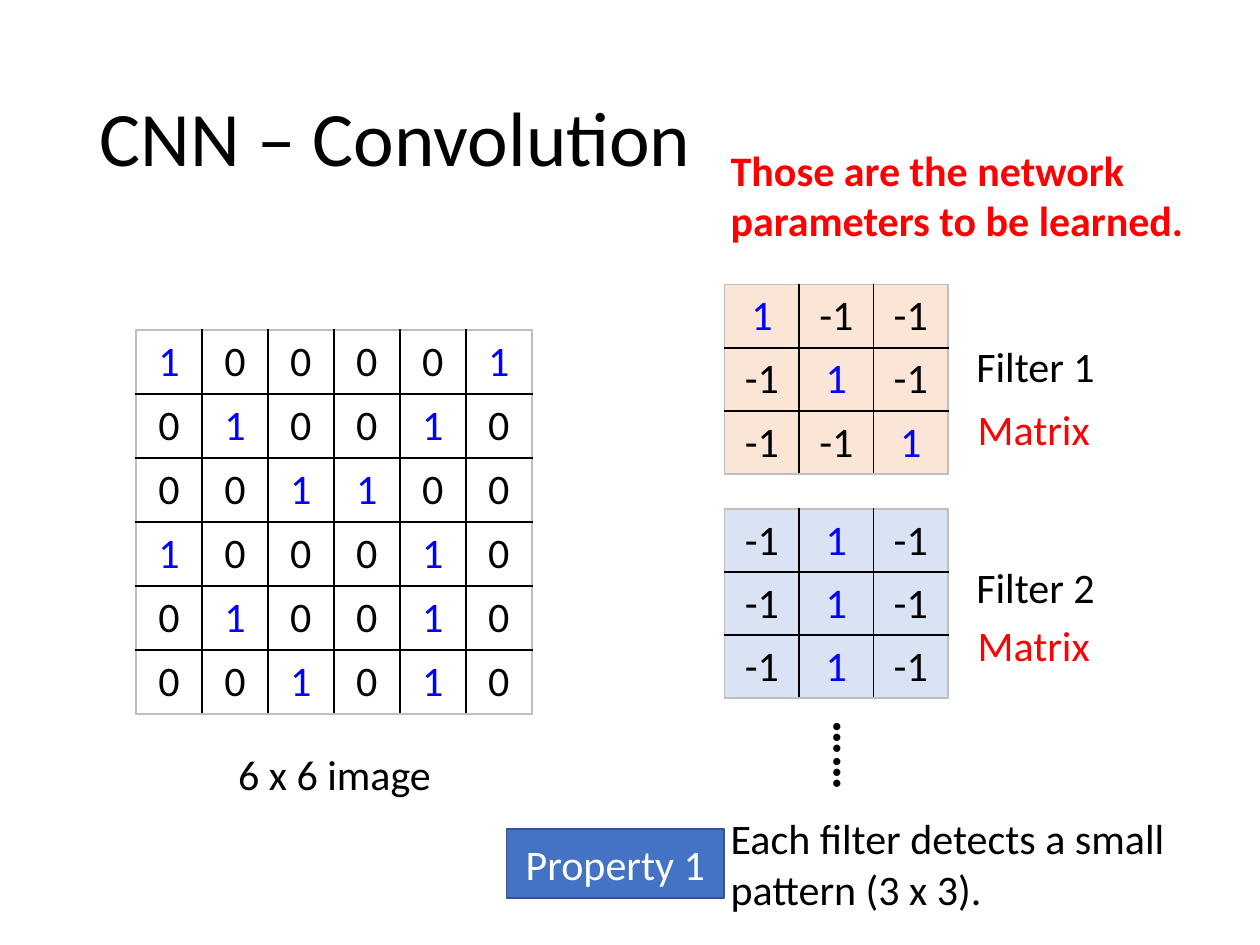
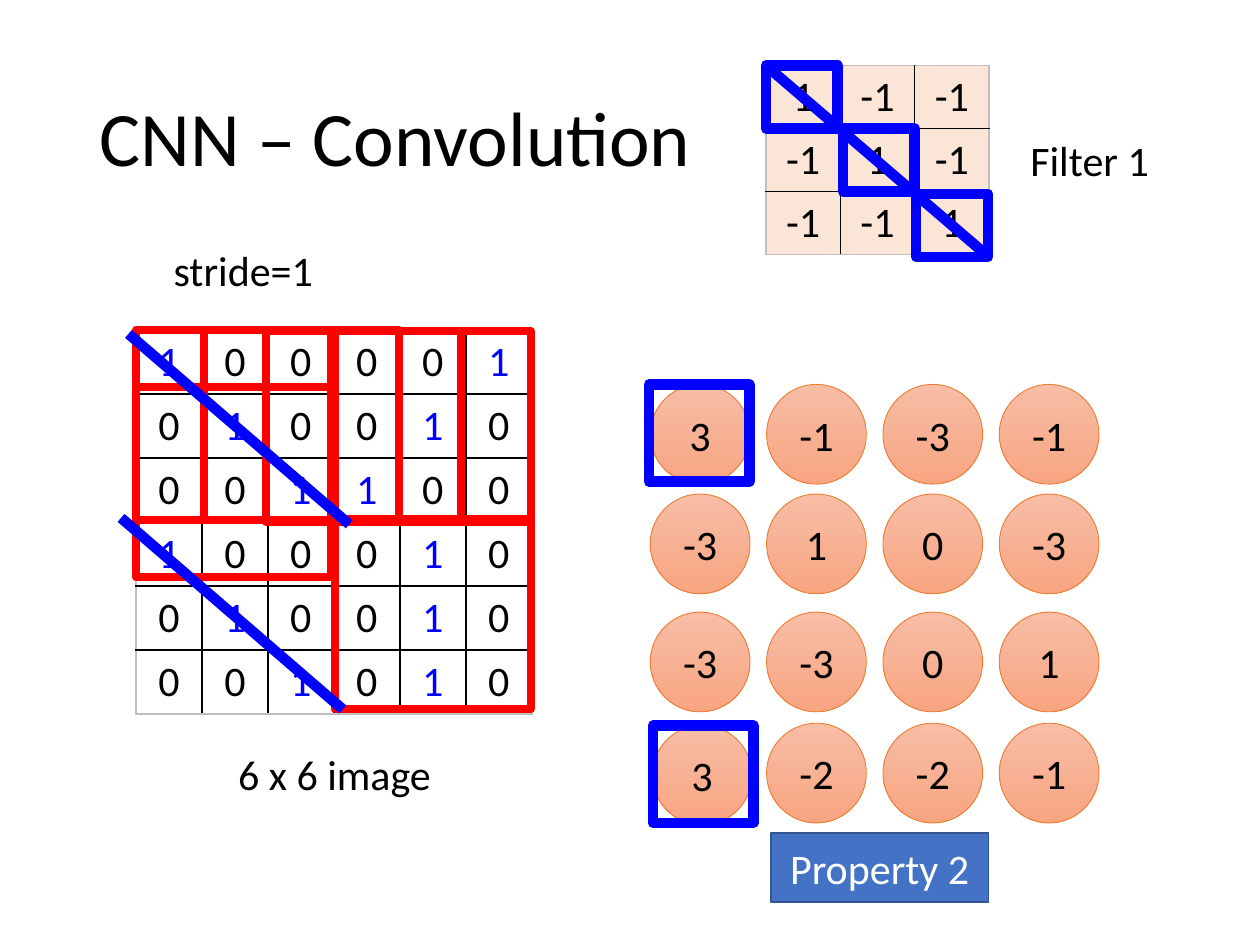
from dataclasses import dataclass

from lxml.etree import SubElement
from pptx import Presentation
from pptx.dml.color import RGBColor
from pptx.enum.shapes import MSO_CONNECTOR as Link, MSO_SHAPE as Form
from pptx.enum.text import MSO_ANCHOR as Anchor, PP_ALIGN as Align
from pptx.oxml.ns import qn
from pptx.util import Cm, Pt

FONT = "Calibri"
BLACK, WHITE, GREY = "000000", "FFFFFF", "BFBFBF"
RED, BLUE = "FF0000", "0000FF"
PEACH, PALE = "FBE5D6", "DAE3F3"
BAR, EDGE = "4472C4", "325491"
RIM, LIGHT, DARK = "ED7D31", "F7BDA5", "F8A582"

IMAGE = ("1 0 0 0 0 1", "0 1 0 0 1 0", "0 0 1 1 0 0",
         "1 0 0 0 1 0", "0 1 0 0 1 0", "0 0 1 0 1 0")
SLANT = ("1 -1 -1", "-1 1 -1", "-1 -1 1")
STRIPE = ("-1 1 -1",) * 3
OUTPUT = ("3 -1 -3 -1", "-3 1 0 -3", "-3 -3 0 1", "3 -2 -2 -1")


@dataclass
class Box:
    """A place on the slide, in centimetres."""
    x: float
    y: float
    w: float
    h: float

    def cm(self) -> tuple:
        """Give the four lengths for python-pptx."""
        return Cm(self.x), Cm(self.y), Cm(self.w), Cm(self.h)


@dataclass
class Note:
    """A free line of text."""
    text: str
    box: Box
    color: str = BLACK
    align: Align = Align.LEFT
    bold: bool = False
    size: float = 24
    turn: float = 0
    wrap: bool = True


@dataclass
class Grid:
    """A matrix drawn as a table."""
    rows: tuple
    x: float
    y: float
    col: float
    row: float
    fill: str = ""
    mark: str = BLUE


def rgb(code: str) -> RGBColor:
    """Turn a hex string into a colour."""
    return RGBColor.from_string(code)


def write(frame, text: str, color: str, align=Align.CENTER,
          size: float = 24, bold: bool = False) -> None:
    """Put one styled run in the first paragraph."""
    para = frame.paragraphs[0]
    para.alignment = align
    run = para.add_run()
    run.text = text
    font = run.font
    font.name, font.size, font.bold = FONT, Pt(size), bold
    font.color.rgb = rgb(color)


def add_title(deck, text: str):
    """Start a slide with its title."""
    slide = deck.slides.add_slide(deck.slide_layouts[5])
    title = slide.shapes.title
    title.left, title.top, title.width, title.height = Box(
        1.75, 1.02, 21.89, 3.68).cm()
    frame = title.text_frame
    frame.vertical_anchor = Anchor.MIDDLE
    write(frame, text, BLACK, Align.LEFT, 44)
    frame.paragraphs[0].line_spacing = 0.9
    return slide


def add_note(slide, note: Note) -> None:
    """Draw a text box."""
    shape = slide.shapes.add_textbox(*note.box.cm())
    shape.rotation = note.turn
    shape.text_frame.word_wrap = note.wrap
    write(shape.text_frame, note.text, note.color, note.align,
          note.size, note.bold)


def add_edge(cell, side: str, color: str) -> None:
    """Draw one border of a cell."""
    line = SubElement(cell._tc.get_or_add_tcPr(), qn(f"a:ln{side}"),
                      w=str(Pt(1)))
    fill = SubElement(line, qn("a:solidFill"))
    SubElement(fill, qn("a:srgbClr"), val=color)


def add_grid(slide, grid: Grid) -> None:
    """Draw a matrix: black inner lines, grey frame, ones in mark colour."""
    data = [row.split() for row in grid.rows]
    count, wide = len(data), len(data[0])
    place = Box(grid.x, grid.y, wide * grid.col, count * grid.row)
    table = slide.shapes.add_table(count, wide, *place.cm()).table
    table.first_row = table.horz_banding = False
    for col in table.columns:
        col.width = Cm(grid.col)
    for i, row in enumerate(data):
        table.rows[i].height = Cm(grid.row)
        for j, text in enumerate(row):
            cell = table.cell(i, j)
            outer = {"L": j == 0, "R": j == wide - 1,
                     "T": i == 0, "B": i == count - 1}
            for side, rim in outer.items():
                add_edge(cell, side, GREY if rim else BLACK)
            if grid.fill:
                cell.fill.solid()
                cell.fill.fore_color.rgb = rgb(grid.fill)
            else:
                cell.fill.background()
            write(cell.text_frame, text, grid.mark if text == "1" else BLACK)


def add_form(slide, form: Form, box: Box, color: str, width: float):
    """Draw an unfilled shape with a plain outline."""
    shape = slide.shapes.add_shape(form, *box.cm())
    shape.shadow.inherit = False
    shape.fill.background()
    shape.line.color.rgb = rgb(color)
    shape.line.width = Pt(width)
    return shape


def add_bar(slide, text: str, x: float, y: float) -> None:
    """Draw a blue property label."""
    shape = add_form(slide, Form.RECTANGLE, Box(x, y, 4.39, 1.4), EDGE, 1)
    shape.fill.solid()
    shape.fill.fore_color.rgb = rgb(BAR)
    shape.text_frame.vertical_anchor = Anchor.MIDDLE
    write(shape.text_frame, text, WHITE)


def add_dot(slide, text: str, x: float, y: float) -> None:
    """Draw one output value in a shaded circle."""
    shape = add_form(slide, Form.OVAL, Box(x, y, 2.01, 2.01), RIM, 0.5)
    shape.fill.gradient()
    shape.fill.gradient_angle = 270
    for stop, color in zip(shape.fill.gradient_stops, (LIGHT, DARK)):
        stop.color.rgb = rgb(color)
    shape.text_frame.vertical_anchor = Anchor.MIDDLE
    write(shape.text_frame, text, BLACK)


def add_frames(slide, spots: list, w: float, h: float,
               color: str, width: float) -> None:
    """Draw equal frames at the given corners."""
    for x, y in spots:
        add_form(slide, Form.RECTANGLE, Box(x, y, w, h), color, width)


def add_line(slide, x: float, y: float, to_x: float, to_y: float) -> None:
    """Draw a thick blue diagonal."""
    line = slide.shapes.add_connector(
        Link.STRAIGHT, Cm(x), Cm(y), Cm(to_x), Cm(to_y))
    line.line.color.rgb = rgb(BLUE)
    line.line.width = Pt(6)
    SubElement(line._element.spPr, qn("a:effectLst"))


def add_base(deck):
    """Start a slide with the title, the input image and its caption."""
    slide = add_title(deck, "CNN – Convolution")
    add_grid(slide, Grid(IMAGE, 2.74, 6.65, 1.33, 1.29))
    add_note(slide, Note("6 x 6 image", Box(3.48, 14.96, 6.53, 1.27),
                         align=Align.CENTER))
    return slide


def add_label(slide, text: str, x: float, y: float) -> None:
    """Name a filter."""
    add_note(slide, Note(text, Box(x, y, 4.01, 1.27), align=Align.CENTER))


def show_filters(deck) -> None:
    """Build the slide on filters as learned parameters."""
    slide = add_base(deck)
    add_grid(slide, Grid(SLANT, 14.61, 5.74, 1.5, 1.27, PEACH))
    add_grid(slide, Grid(STRIPE, 14.61, 10.26, 1.5, 1.27, PALE))
    add_label(slide, "Filter 1", 18.87, 6.73)
    add_label(slide, "Filter 2", 18.87, 11.2)
    for y in (8, 12.37):
        add_note(slide, Note("Matrix", Box(19.46, y, 2.84, 1.27), RED))
    add_note(slide, Note("……", Box(16.21, 14.53, 1.96, 1.45),
                         bold=True, size=28, turn=90))
    add_note(slide, Note("Those are the network parameters to be learned.",
                         Box(14.48, 2.79, 9.88, 2.31), RED, bold=True))
    add_note(slide, Note("Each filter detects a small pattern (3 x 3).",
                         Box(14.48, 16.26, 9.88, 2.31)))
    add_bar(slide, "Property 1", 10.21, 16.71)


def show_stride(deck) -> None:
    """Build the slide that moves one filter over the image."""
    slide = add_base(deck)
    add_grid(slide, Grid(SLANT, 15.44, 1.32, 1.5, 1.27, PEACH, BLACK))
    add_label(slide, "Filter 1", 19.96, 2.59)
    add_note(slide, Note("stride=1", Box(3.25, 4.8, 3.35, 1.27), wrap=False))
    for i, (row, y) in enumerate(zip(OUTPUT, (7.75, 9.96, 12.34, 14.58))):
        for j, text in enumerate(row.split()):
            nudge = 0.04 if (i, j) == (3, 0) else 0
            add_dot(slide, text, 13.11 + 2.345 * j + nudge, y + nudge)
    windows = [(2.74, 6.65), (4.11, 6.65), (5.36, 6.68),
               (6.76, 6.68), (2.74, 7.8), (6.76, 10.46)]
    add_frames(slide, windows, 3.94, 3.84, RED, 4.5)
    ones = [(15.44, 1.32), (16.99, 2.59), (18.47, 3.91)]
    add_frames(slide, ones, 1.45, 1.27, BLUE, 6)
    peaks = [(13.08, 7.75), (13.16, 14.63)]
    add_frames(slide, peaks, 2.03, 1.96, BLUE, 6)
    add_bar(slide, "Property 2", 15.54, 16.79)
    add_line(slide, 15.44, 1.32, 19.91, 5.16)
    add_line(slide, 2.59, 6.73, 7.04, 10.57)
    add_line(slide, 2.44, 10.44, 6.91, 14.3)


def main() -> None:
    """Build and save the deck."""
    deck = Presentation()
    deck.slide_width, deck.slide_height = Cm(25.4), Cm(19.05)
    show_filters(deck)
    show_stride(deck)
    deck.save("out.pptx")


main()
